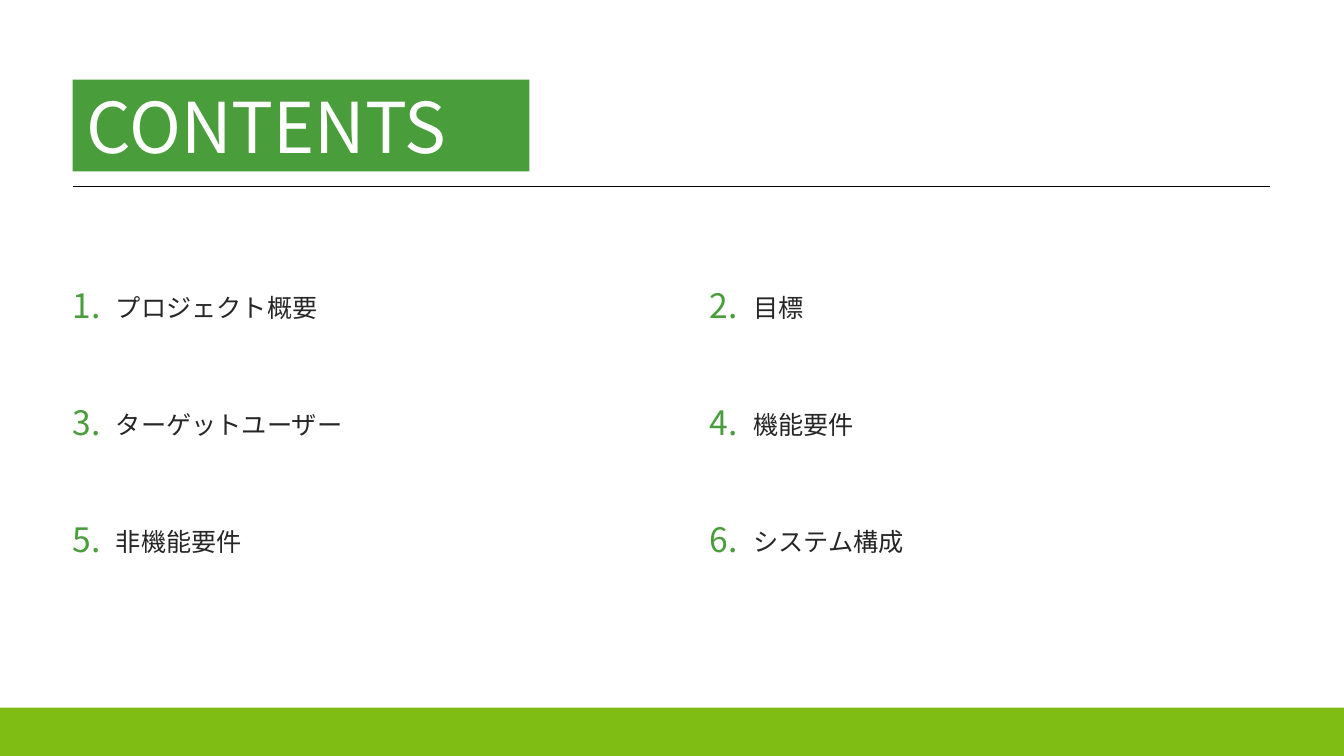
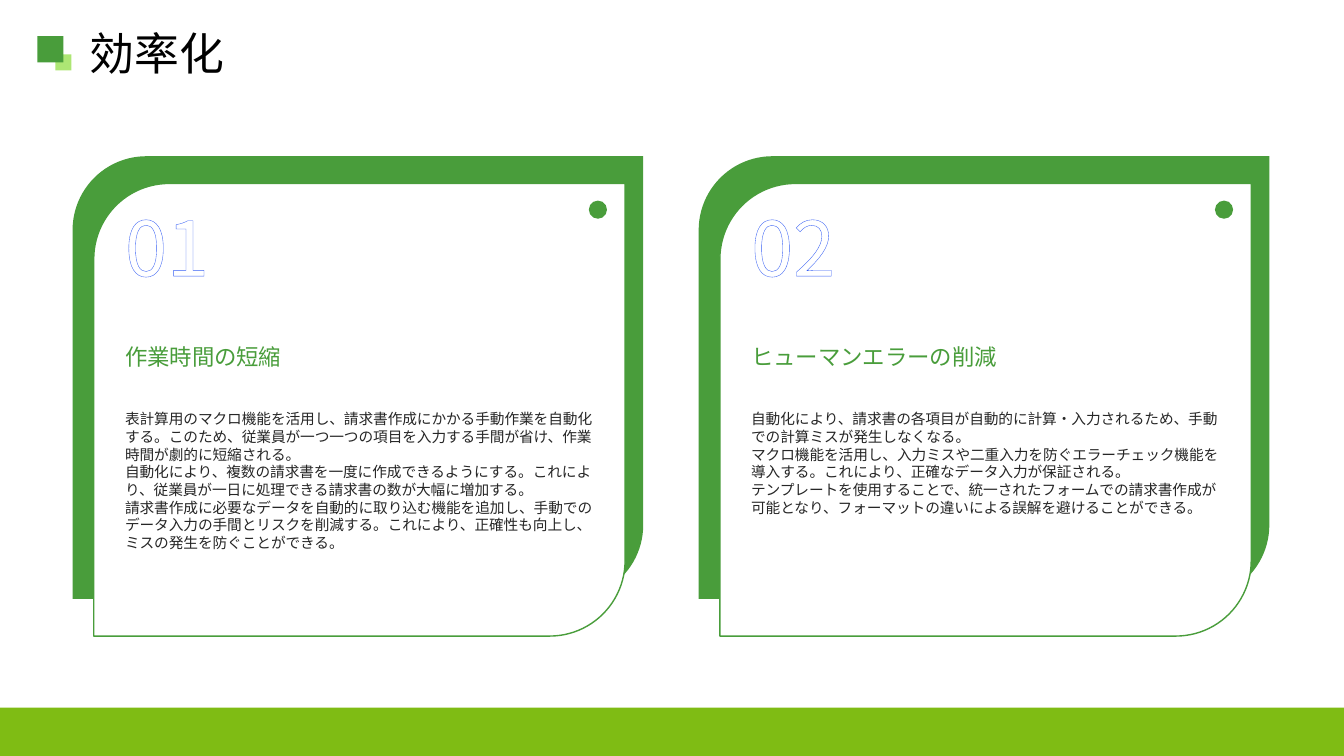
from dataclasses import dataclass

from lxml.etree import SubElement
from pptx import Presentation
from pptx.dml.color import RGBColor
from pptx.enum.shapes import MSO_CONNECTOR as Connector, MSO_SHAPE as Preset
from pptx.enum.text import MSO_ANCHOR as Anchor
from pptx.oxml.ns import qn
from pptx.slide import Slide
from pptx.util import Inches, Pt

GREEN = RGBColor(0x49, 0x9D, 0x3B)
LIGHT_GREEN = RGBColor(0xAD, 0xE6, 0x74)
FOOTER_GREEN = RGBColor(0x7F, 0xBC, 0x14)
OUTLINE_BLUE = RGBColor(0x38, 0x60, 0xF4)
INK = RGBColor(0x26, 0x26, 0x26)
BLACK = RGBColor(0, 0, 0)
WHITE = RGBColor(255, 255, 255)

DISPLAY_FONT = "Noto Sans CJK SC"
TEXT_FONT = "TeX Gyre Schola"

SLIDE_WIDTH = 13.33
SLIDE_HEIGHT = 7.5
MARGIN = 0.72
FOOTER_TOP = 7.02

AGENDA_COLUMNS = 2
AGENDA_TOP = 2.9
AGENDA_COLUMN_PITCH = 6.32
AGENDA_ROW_PITCH = 1.16
CARD_PITCH = 6.21


@dataclass(frozen=True)
class Box:
    left: float
    top: float
    width: float
    height: float

    def lengths(self) -> tuple[Inches, ...]:
        return tuple(map(Inches, (self.left, self.top, self.width, self.height)))


@dataclass(frozen=True)
class Card:
    number: str
    heading: str
    body: str


AGENDA = (
    "プロジェクト概要",
    "目標",
    "ターゲットユーザー",
    "機能要件",
    "非機能要件",
    "システム構成",
)

CARDS = (
    Card(
        "01",
        "作業時間の短縮",
        "表計算用のマクロ機能を活用し、請求書作成にかかる手動作業を自動化する。"
        "このため、従業員が一つ一つの項目を入力する手間が省け、作業時間が劇的に短縮される。\n"
        "自動化により、複数の請求書を一度に作成できるようにする。"
        "これにより、従業員が一日に処理できる請求書の数が大幅に増加する。\n"
        "請求書作成に必要なデータを自動的に取り込む機能を追加し、"
        "手動でのデータ入力の手間とリスクを削減する。"
        "これにより、正確性も向上し、ミスの発生を防ぐことができる。",
    ),
    Card(
        "02",
        "ヒューマンエラーの削減",
        "自動化により、請求書の各項目が自動的に計算・入力されるため、"
        "手動での計算ミスが発生しなくなる。\n"
        "マクロ機能を活用し、入力ミスや二重入力を防ぐエラーチェック機能を導入する。"
        "これにより、正確なデータ入力が保証される。\n"
        "テンプレートを使用することで、統一されたフォームでの請求書作成が可能となり、"
        "フォーマットの違いによる誤解を避けることができる。",
    ),
)


def add_text(
    slide: Slide,
    box: Box,
    text: str,
    *,
    size: float,
    color: RGBColor = INK,
    font_name: str = TEXT_FONT,
    anchor: Anchor = Anchor.TOP,
    outline: RGBColor | None = None,
) -> None:
    frame = slide.shapes.add_textbox(*box.lengths()).text_frame
    frame.word_wrap = True
    frame.vertical_anchor = anchor
    frame.margin_left = frame.margin_top = frame.margin_right = frame.margin_bottom = 0
    paragraph = frame.paragraphs[0]
    paragraph.text = text
    for run in paragraph.runs:
        run.font.size = Pt(size)
        run.font.name = font_name
        run.font.color.rgb = color
        properties = run.font._element
        SubElement(properties, qn("a:ea"), typeface=font_name)
        if outline is not None:
            line = SubElement(properties, qn("a:ln"), w=str(Pt(1.25)))
            fill = SubElement(line, qn("a:solidFill"))
            SubElement(fill, qn("a:srgbClr"), val=str(outline))
            properties.insert(0, line)


def add_block(
    slide: Slide,
    box: Box,
    fill: RGBColor,
    preset: Preset = Preset.RECTANGLE,
    border: RGBColor | None = None,
) -> None:
    shape = slide.shapes.add_shape(preset, *box.lengths())
    shape.shadow.inherit = False
    shape.fill.solid()
    shape.fill.fore_color.rgb = fill
    if border is None:
        shape.line.fill.background()
    else:
        shape.line.color.rgb = border
        shape.line.width = Pt(1)


def add_rule(slide: Slide, left: float, right: float, top: float) -> None:
    connector = slide.shapes.add_connector(
        Connector.STRAIGHT, Inches(left), Inches(top), Inches(right), Inches(top)
    )
    connector.line.color.rgb = BLACK
    connector.line.width = Pt(1)
    SubElement(connector._element.spPr, qn("a:effectLst"))


def add_base_slide(presentation: Presentation) -> Slide:
    slide = presentation.slides.add_slide(presentation.slide_layouts[6])
    footer = Box(0, FOOTER_TOP, SLIDE_WIDTH, SLIDE_HEIGHT - FOOTER_TOP)
    add_block(slide, footer, FOOTER_GREEN)
    return slide


def add_agenda_slide(presentation: Presentation) -> None:
    slide = add_base_slide(presentation)
    add_block(slide, Box(MARGIN, 0.79, 4.53, 0.91), GREEN)
    add_text(
        slide, Box(0.86, 0.9, 4.25, 0.7), "CONTENTS",
        size=50, color=WHITE, font_name=DISPLAY_FONT, anchor=Anchor.MIDDLE,
    )
    add_rule(slide, MARGIN, 12.6, 1.85)
    for index, topic in enumerate(AGENDA):
        row, column = divmod(index, AGENDA_COLUMNS)
        left = MARGIN + column * AGENDA_COLUMN_PITCH
        top = AGENDA_TOP + row * AGENDA_ROW_PITCH
        add_text(
            slide, Box(left, top - 0.05, 0.43, 0.36), f"{index + 1}.",
            size=24, color=GREEN, font_name=DISPLAY_FONT, anchor=Anchor.MIDDLE,
        )
        add_text(slide, Box(left + 0.43, top, 5.12, 0.98), topic, size=18)


def add_card(slide: Slide, card: Card, left: float) -> None:
    text_left = left + 0.52
    add_block(slide, Box(left, 1.55, 5.66, 4.39), GREEN, Preset.ROUND_2_DIAG_RECTANGLE)
    add_block(
        slide, Box(left + 0.21, 1.82, 5.27, 4.49), WHITE,
        Preset.ROUND_2_DIAG_RECTANGLE, border=GREEN,
    )
    add_text(
        slide, Box(text_left, 1.99, 1.35, 1.16), card.number,
        size=54, color=WHITE, font_name=DISPLAY_FONT, outline=OUTLINE_BLUE,
    )
    add_text(slide, Box(text_left, 4.07, 4.69, 1.82), card.body, size=10.5)
    add_block(slide, Box(left + 5.12, 1.99, 0.18, 0.18), GREEN, Preset.OVAL)
    add_text(
        slide, Box(text_left, 3.04, 4.69, 0.99), card.heading,
        size=16, color=GREEN, anchor=Anchor.MIDDLE,
    )


def add_cards_slide(presentation: Presentation) -> None:
    slide = add_base_slide(presentation)
    for index, card in enumerate(CARDS):
        add_card(slide, card, MARGIN + index * CARD_PITCH)
    add_block(slide, Box(0.55, 0.54, 0.16, 0.16), LIGHT_GREEN)
    add_text(
        slide, Box(0.89, 0.29, 11.84, 0.47), "効率化",
        size=32, color=BLACK, anchor=Anchor.MIDDLE,
    )
    add_block(slide, Box(0.37, 0.36, 0.26, 0.26), GREEN)


def main() -> None:
    presentation = Presentation()
    presentation.slide_width = Inches(SLIDE_WIDTH)
    presentation.slide_height = Inches(SLIDE_HEIGHT)
    add_agenda_slide(presentation)
    add_cards_slide(presentation)
    presentation.save("out.pptx")


if __name__ == "__main__":
    main()
